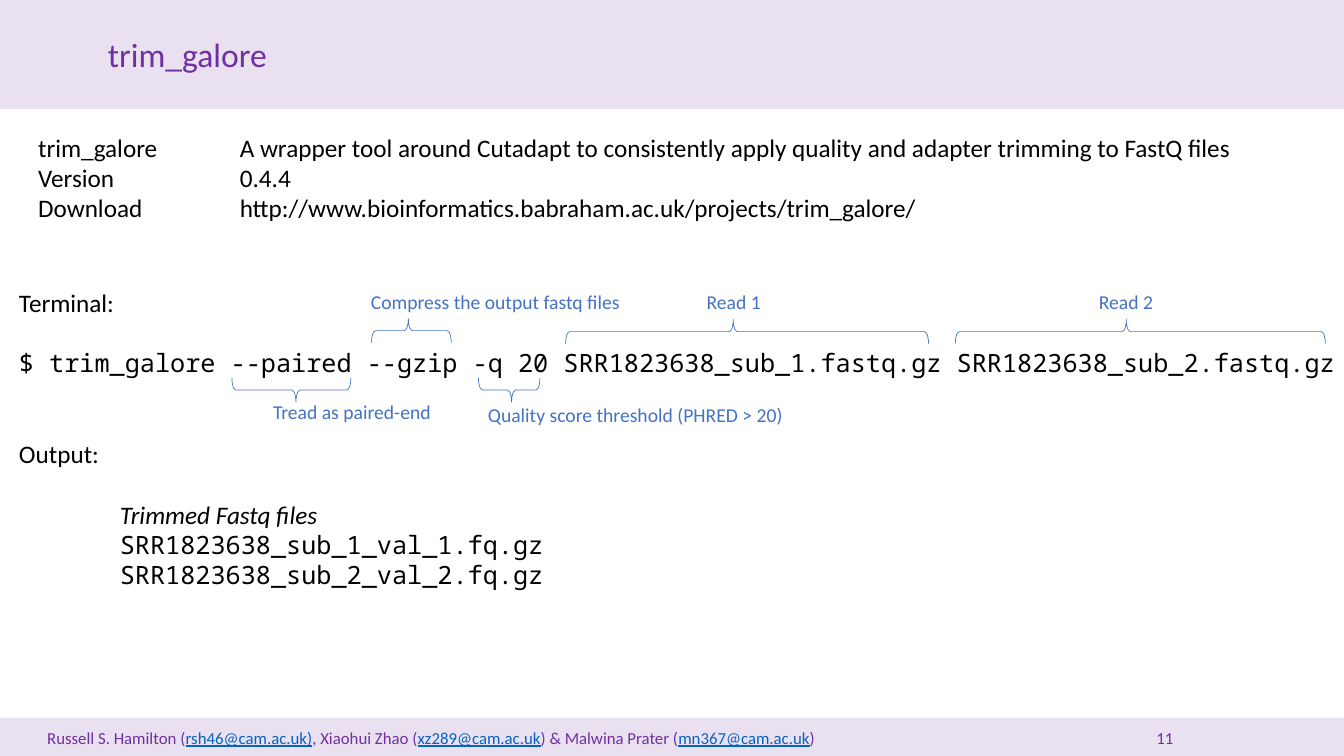
from pptx import Presentation
from pptx.dml.color import RGBColor
from pptx.enum.shapes import MSO_SHAPE
from pptx.enum.text import MSO_ANCHOR, PP_ALIGN
from pptx.oxml.ns import qn
from pptx.util import Inches, Pt
from lxml.etree import SubElement

PURPLE = RGBColor(0x70, 0x30, 0xA0)
BLUE = RGBColor(0x44, 0x72, 0xC4)
LINK = RGBColor(0x05, 0x63, 0xC1)
BLACK = RGBColor(0, 0, 0)
SANS, MONO = "Calibri", "Noto Sans Mono"

deck = Presentation()
deck.slide_width, deck.slide_height = Inches(13.33), Inches(7.5)
slide = deck.slides.add_slide(deck.slide_layouts[5])
shapes = slide.shapes


def style(font, size, color, name=SANS):
    font.size, font.name = Pt(size), name
    font.color.rgb = color


def add_text(left, top, width, lines, size=18, color=BLACK, name=SANS):
    height = 0.1 + len(lines) * size / 60
    box = shapes.add_textbox(Inches(left), Inches(top), Inches(width), Inches(height))
    frame = box.text_frame
    frame.word_wrap = True
    frame.margin_right = 0
    frame.text = "\n".join(lines)
    for para in frame.paragraphs:
        for run in para.runs:
            style(run.font, size, color, name)
    return frame


# Header and footer bands
for top, height in ((0, 1.08), (7.12, 0.38)):
    band = shapes.add_shape(MSO_SHAPE.RECTANGLE, 0, Inches(top), deck.slide_width, Inches(height))
    band.shadow.inherit = False
    band.line.fill.background()
    band.fill.solid()
    band.fill.fore_color.rgb = PURPLE
    tint = band.fill._xPr.find(qn("a:solidFill"))[0]
    SubElement(tint, qn("a:alpha")).set("val", "15000")

# Title, brought in front of the header band
title = shapes.title
title.left, title.top = Inches(0.97), Inches(0.29)
title.width, title.height = Inches(11.4), Inches(0.5)
title.text_frame.text = "trim_galore"
title.text_frame.vertical_anchor = MSO_ANCHOR.MIDDLE
head = title.text_frame.paragraphs[0]
head.alignment = PP_ALIGN.LEFT
style(head.runs[0].font, 24, PURPLE)
shapes._spTree.append(title._element)

# Tool facts, aligned on one tab stop
facts = add_text(0.28, 1.26, 12.5, [
    "trim_galore\tA wrapper tool around Cutadapt to consistently apply quality and adapter trimming to FastQ files",
    "Version\t0.4.4",
    "Download\thttp://www.bioinformatics.babraham.ac.uk/projects/trim_galore/",
])
for para in facts.paragraphs:
    tabs = SubElement(para._p.get_or_add_pPr(), qn("a:tabLst"))
    stop = SubElement(tabs, qn("a:tab"))
    stop.set("pos", str(Inches(2)))
    stop.set("algn", "l")

# Command and its output
add_text(0.09, 2.8, 2, ["Terminal:"])
add_text(0.09, 3.4, 13.24, [
    "$ trim_galore --paired --gzip -q 20 SRR1823638_sub_1.fastq.gz SRR1823638_sub_2.fastq.gz",
], name=MONO)
add_text(0.09, 4.3, 2, ["Output:"])
files = add_text(1.09, 4.9, 6, [
    "Trimmed Fastq files",
    "SRR1823638_sub_1_val_1.fq.gz",
    "SRR1823638_sub_2_val_2.fq.gz",
], name=MONO)
note = files.paragraphs[0].runs[0].font
note.name, note.italic = SANS, True

# Braces over and under the options: centre, span, turn, then label place
DEPTH = 0.24
notes = (
    (2.89, 3.87, 1.18, 90, "Tread as paired-end", 2.61, 3.92, 2),
    (4.08, 3.28, 0.79, 270, "Compress the output fastq files", 3.58, 2.83, 2.9),
    (5.05, 3.87, 0.61, 90, "Quality score threshold (PHRED > 20)", 4.74, 3.95, 3.4),
    (7.41, 3.29, 3.6, 270, "Read 1", 6.91, 2.83, 1),
    (11.31, 3.29, 3.67, 270, "Read 2", 10.8, 2.83, 1),
)
for x, y, span, turn, label, left, top, width in notes:
    brace = shapes.add_shape(MSO_SHAPE.RIGHT_BRACE, Inches(x - DEPTH / 2), Inches(y - span / 2),
                             Inches(DEPTH), Inches(span))
    brace.rotation = turn
    brace.adjustments[0], brace.adjustments[1] = 0.165, 0.462
    brace.shadow.inherit = False
    brace.fill.background()
    brace.line.color.rgb, brace.line.width = BLUE, Pt(0.5)
    add_text(left, top, width, [label], 14, BLUE)

# Footer with authors and page number
authors = add_text(0.37, 7.17, 9, ["Russell S. Hamilton ("], 12, PURPLE).paragraphs[0]
for part in ("rsh46@cam.ac.uk)", ", Xiaohui Zhao (", "xz289@cam.ac.uk",
             ") & Malwina Prater (", "mn367@cam.ac.uk", ")"):
    run = authors.add_run()
    run.text = part
    mail = "@" in part
    style(run.font, 12, LINK if mail else PURPLE)
    run.font.underline = mail
add_text(11.37, 7.17, 0.6, ["11"], 12, PURPLE)

deck.save("out.pptx")
